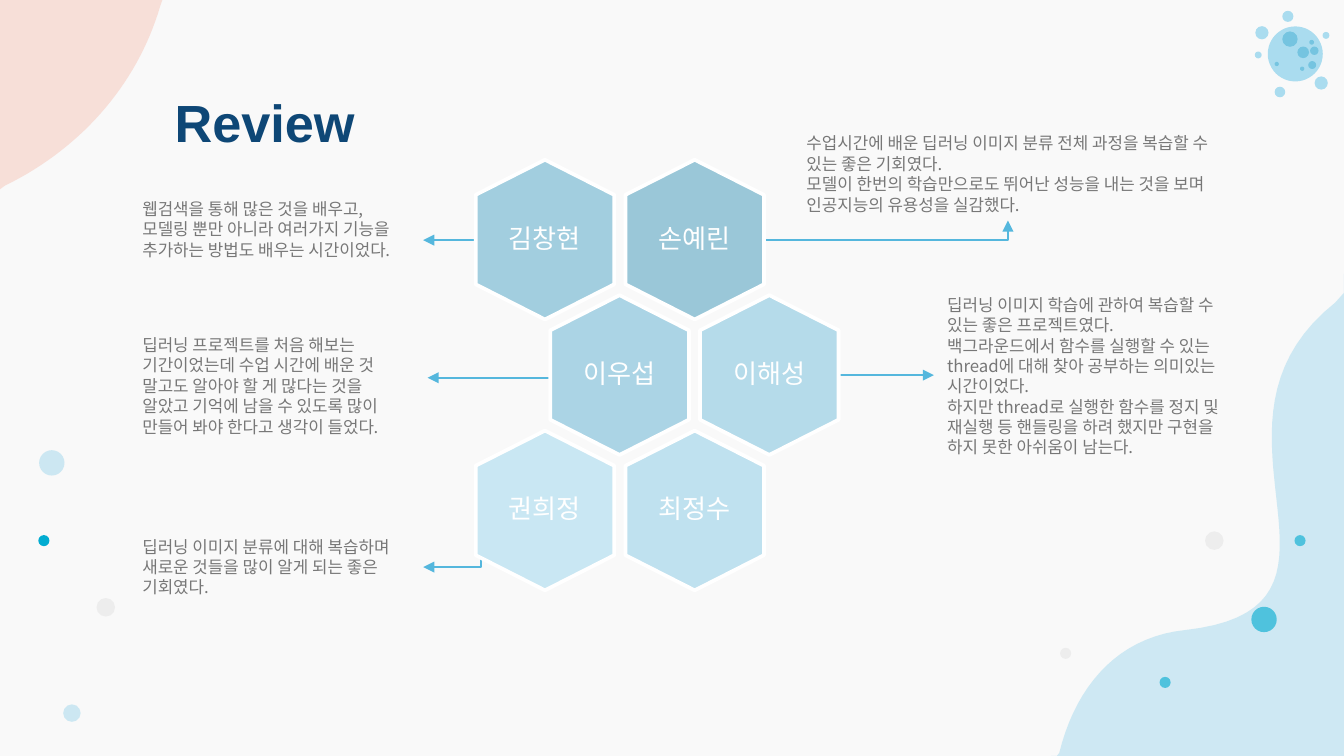
from dataclasses import dataclass

from lxml.etree import SubElement
from pptx import Presentation
from pptx.dml.color import RGBColor
from pptx.enum.shapes import MSO_CONNECTOR as Connector, MSO_SHAPE as Shape
from pptx.enum.text import MSO_ANCHOR as Anchor, PP_ALIGN as Align
from pptx.oxml.ns import qn
from pptx.util import Cm, Pt


@dataclass(frozen=True)
class Theme:
    background: str = "F9F9F9"
    peach: str = "F5AD9A"
    sky: str = "AADBEE"
    gray: str = "EDEDED"
    teal: str = "02ACD1"
    virus: str = "AADCEF"
    crater: str = "75C4E0"
    arrow: str = "55B7DD"
    white: str = "FFFFFF"
    title: str = "0E4776"
    body: str = "777777"
    latin_font: str = "Arial"
    korean_font: str = "Noto Sans CJK KR"
    title_size: float = 28
    name_size: float = 14
    body_size: float = 9
    body_leading: float = 10.9


THEME = Theme()
WIDTH, HEIGHT = 25.4, 14.29

CORNERS = [
    (THEME.peach, 34, (0, 0),
     [(3.07, -0.03), (2.57, 1.88), (1.02, 3.4), (-1.12, 3.96)]),
    (THEME.sky, 54, (WIDTH, HEIGHT),
     [(26.09, 5.18), (21.62, 7.47), (26.49, 11.46), (22.4, 11.91),
      (19.71, 12.19), (19.18, 15.98), (20.73, 19.05)]),
]

DOTS = [
    (THEME.sky, 57, [(0.98, 8.75, 0.48), (1.36, 13.48, 0.33)]),
    (THEME.gray, 100, [(20.14, 12.35, 0.21), (2, 11.48, 0.35), (22.95, 10.22, 0.35)]),
    (THEME.teal, 100, [(0.83, 10.22, 0.21)]),
    (THEME.teal, 62, [(23.89, 11.71, 0.48), (22.02, 12.9, 0.21), (24.57, 10.22, 0.21)]),
    (THEME.virus, 100, [
        (24.48, 1.02, 1.04), (24.34, 0.31, 0.21), (24.19, 1.74, 0.2), (23.85, 0.62, 0.25),
        (24.97, 1.57, 0.25), (25.06, 0.67, 0.13), (23.78, 1.04, 0.13)]),
    (THEME.crater, 100, [
        (24.84, 0.96, 0.16), (24.79, 0.8, 0.09), (24.63, 0.99, 0.22), (24.38, 0.74, 0.29),
        (24.8, 1.23, 0.15), (24.13, 1.21, 0.08), (24.61, 1.3, 0.08)]),
]

ARROWS = [
    ("bentConnector3", (10.19, 9.75), (8, 10.72)),
    ("bentConnector3", (10.19, 4.52), (8, 4.54)),
    ("line", (11.61, 7.14), (8.08, 7.14)),
    ("bentConnector2", (13.23, 4.54), (19.05, 4.17)),
    ("line", (14.91, 7.09), (17.65, 7.09)),
]

MEMBER_ROWS = [
    [("김창현", "A2CEDF"), ("손예린", "9AC7D8")],
    [("이우섭", "ABD4E5"), ("이해성", "B5DBEA")],
    [("권희정", "C9E7F3"), ("최정수", "BFE1EF")],
]

REVIEWS = [
    ((14.99, 2.39, 8.15, 1.8), [
        "수업시간에 배운 딥러닝 이미지 분류 전체 과정을 복습할 수 있는 좋은 기회였다.",
        "모델이 한번의 학습만으로도 뛰어난 성능을 내는 것을 보며 인공지능의 유용성을 실감했다."]),
    ((17.65, 5.44, 5.77, 3.71), [
        "딥러닝 이미지 학습에 관하여 복습할 수 있는 좋은 프로젝트였다.",
        "백그라운드에서 함수를 실행할 수 있는 thread에 대해 찾아 공부하는 의미있는 시간이었다.",
        "하지만 thread로 실행한 함수를 정지 및 재실행 등 핸들링을 하려 했지만 "
        "구현을 하지 못한 아쉬움이 남는다."]),
    ((2.44, 3.63, 5.56, 1.8), [
        "웹검색을 통해 많은 것을 배우고, 모델링 뿐만 아니라 여러가지 기능을 "
        "추가하는 방법도 배우는 시간이었다."]),
    ((2.44, 6.2, 5.56, 2.18), [
        "딥러닝 프로젝트를 처음 해보는 기간이었는데 수업 시간에 배운 것 말고도 알아야 할 게 "
        "많다는 것을 알았고 기억에 남을 수 있도록 많이 만들어 봐야 한다고 생각이 들었다."]),
    ((2.44, 10.01, 5.56, 1.42), [
        "딥러닝 이미지 분류에 대해 복습하며 새로운 것들을 많이 알게 되는 좋은 기회였다."]),
]


def color(value):
    return RGBColor.from_string(value)


def paint(shape, fill, opacity=100):
    shape.shadow.inherit = False
    shape.fill.solid()
    shape.fill.fore_color.rgb = color(fill)
    shape.line.fill.background()
    if opacity < 100:
        tone = shape.fill._xPr.find(qn("a:solidFill"))[0]
        SubElement(tone, qn("a:alpha"), val=str(opacity * 1000))


def format_text(paragraph, size, tint, font, bold=False):
    for run in paragraph.runs:
        run.font.size = Pt(size)
        run.font.bold = bold
        run.font.color.rgb = color(tint)
        run.font.name = font
        SubElement(run.font._element, qn("a:ea"), typeface=THEME.korean_font)


def add_polygon(slide, points):
    start, *rest = [(Cm(x), Cm(y)) for x, y in points]
    builder = slide.shapes.build_freeform(*start)
    builder.add_line_segments(rest)
    return builder.convert_to_shape()


def curve_points(controls, steps=40):
    for first in range(0, len(controls) - 1, 3):
        a, b, c, d = controls[first:first + 4]
        for step in range(steps + 1):
            t = step / steps
            u = 1 - t
            x, y = (u**3 * p + 3 * u * u * t * q + 3 * u * t * t * r + t**3 * s
                    for p, q, r, s in zip(a, b, c, d))
            yield min(max(x, 0), WIDTH), min(max(y, 0), HEIGHT)


def add_corner(slide, fill, opacity, corner, controls):
    paint(add_polygon(slide, [corner, *curve_points(controls)]), fill, opacity)


def add_dot(slide, x, y, diameter, fill, opacity):
    left, top = x - diameter / 2, y - diameter / 2
    dot = slide.shapes.add_shape(Shape.OVAL, Cm(left), Cm(top), Cm(diameter), Cm(diameter))
    paint(dot, fill, opacity)


def add_arrow(slide, preset, begin, end):
    kind = Connector.STRAIGHT if preset == "line" else Connector.ELBOW
    arrow = slide.shapes.add_connector(kind, *map(Cm, begin + end))
    arrow.line.color.rgb = color(THEME.arrow)
    arrow.line.width = Pt(1)
    properties = arrow._element.spPr
    properties.find(qn("a:prstGeom")).set("prst", preset)
    SubElement(properties.find(qn("a:ln")), qn("a:tailEnd"), type="triangle")
    SubElement(properties, qn("a:effectLst"))


def add_hexagon(slide, left, top, name, fill):
    width, height = 2.62, 3.02
    outline = [(0.5, 0), (1, 0.22), (1, 0.78), (0.5, 1), (0, 0.78), (0, 0.22)]
    hexagon = add_polygon(slide, [(left + width * x, top + height * y) for x, y in outline])
    paint(hexagon, fill)
    hexagon.line.color.rgb = color(THEME.white)
    hexagon.line.width = Pt(2)
    frame = hexagon.text_frame
    frame.text = name
    frame.word_wrap = True
    frame.vertical_anchor = Anchor.MIDDLE
    paragraph = frame.paragraphs[0]
    paragraph.alignment = Align.CENTER
    paragraph.line_spacing = 0.9
    format_text(paragraph, THEME.name_size, THEME.white, THEME.latin_font)


def add_text(slide, box, lines):
    frame = slide.shapes.add_textbox(*map(Cm, box)).text_frame
    frame.word_wrap = True
    frame.text = "\n".join(lines)
    return frame


def add_review(slide, box, lines):
    for paragraph in add_text(slide, box, lines).paragraphs:
        paragraph.line_spacing = Pt(THEME.body_leading)
        format_text(paragraph, THEME.body_size, THEME.body, THEME.korean_font)


def add_title(slide):
    frame = add_text(slide, (3.05, 1.45, 21.41, 1.32), ["Review"])
    frame.margin_top = frame.margin_bottom = Cm(0.25)
    format_text(frame.paragraphs[0], THEME.title_size, THEME.title, THEME.latin_font, True)


def main():
    presentation = Presentation()
    presentation.slide_width, presentation.slide_height = Cm(WIDTH), Cm(HEIGHT)
    slide = presentation.slides.add_slide(presentation.slide_layouts[6])
    slide.background.fill.solid()
    slide.background.fill.fore_color.rgb = color(THEME.background)

    for corner in CORNERS:
        add_corner(slide, *corner)
    for fill, opacity, dots in DOTS:
        for dot in dots:
            add_dot(slide, *dot, fill, opacity)
    for arrow in ARROWS:
        add_arrow(slide, *arrow)
    for row, members in enumerate(MEMBER_ROWS):
        for column, (name, fill) in enumerate(members):
            left = 8.99 + 2.83 * column + 1.41 * (row % 2)
            add_hexagon(slide, left, 3.02 + 2.56 * row, name, fill)
    for review in REVIEWS:
        add_review(slide, *review)
    add_title(slide)
    presentation.save("out.pptx")


if __name__ == "__main__":
    main()
